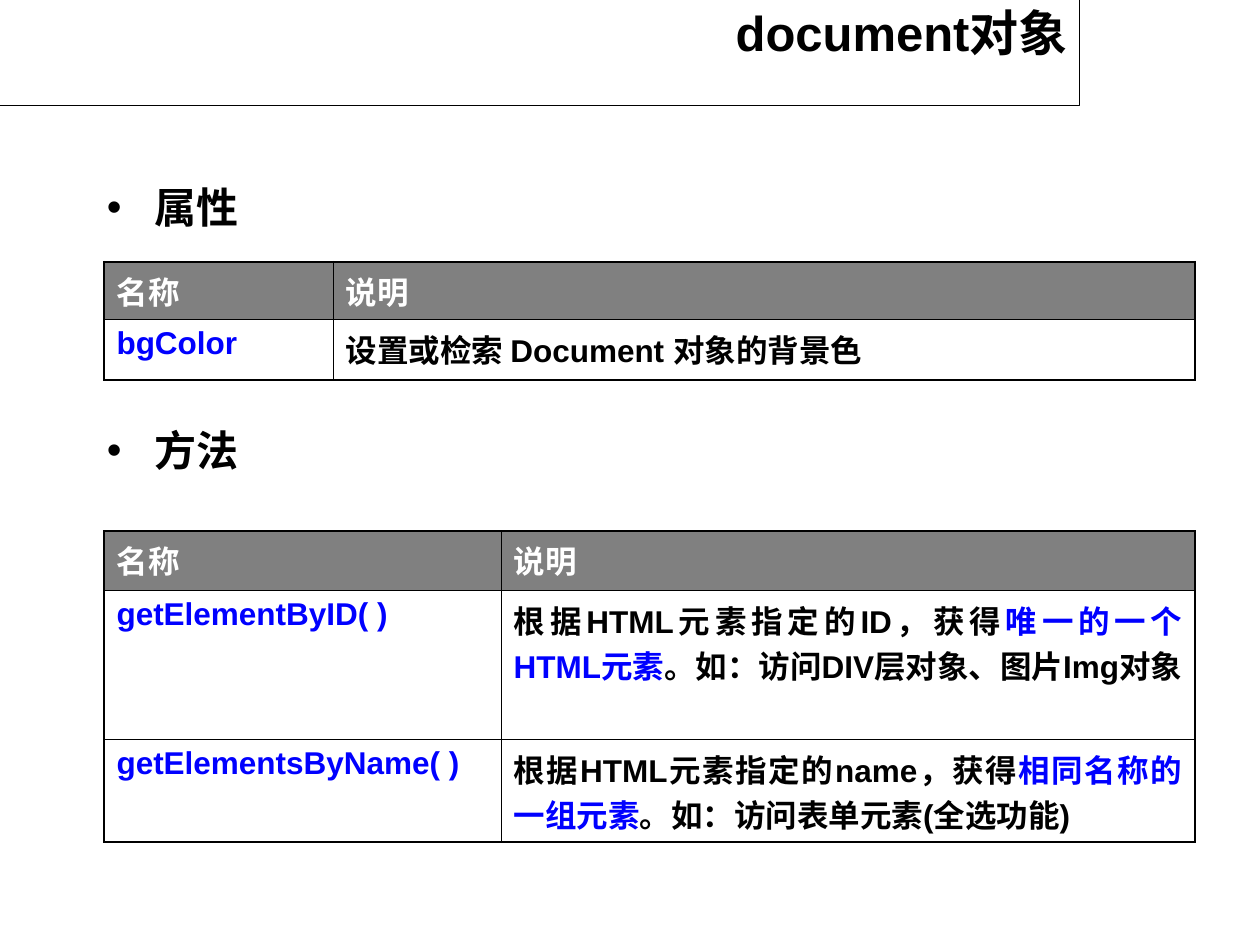
import pptx
import pptx.util
import pptx.dml.color
import pptx.enum.shapes
import pptx.enum.text
import pptx.oxml
import pptx.oxml.ns
from lxml import etree

WIDTH, HEIGHT = pptx.util.Inches(10), pptx.util.Inches(7.5)
COLORS = {"ink": "000000", "paper": "FFFFFF", "header": "808080", "key": "0000FF"}
LATIN, CJK = "Arial", "Noto Sans CJK SC"
OUTER, INNER = 1.08, 0.45
ALIGN = pptx.enum.text.PP_ALIGN

# Boxes: left, top, width, height as percent of the slide
TITLE_BOX = (-4.3, -0.4, 90, 11.6)
PROPERTY_BOX = (7.5, 18.55, 85, 8)
METHOD_BOX = (7.5, 44.3, 85, 8)
PROPERTY_TABLE_BOX = (8.25, 27.7, 86.6, 12.53)
METHOD_TABLE_BOX = (8.25, 56.2, 86.6, 32.93)

HEADER = ("名称", "说明")
PROPERTIES = [("bgColor", [("设置或检索 Document 对象的背景色", "ink")])]
METHODS = [
    ("getElementByID( )", [("根据HTML元素指定的ID，获得", "ink"),
                           ("唯一的一个HTML元素", "key"),
                           ("。如：访问DIV层对象、图片Img对象", "ink")]),
    ("getElementsByName( )", [("根据HTML元素指定的name，获得", "ink"),
                              ("相同名称的一组元素", "key"),
                              ("。如：访问表单元素(全选功能)", "ink")]),
]


def rgb(color):
    return pptx.dml.color.RGBColor.from_string(COLORS[color])


def place(box):
    left, top, width, height = (percent / 100 for percent in box)
    return (round(left * WIDTH), round(top * HEIGHT),
            round(width * WIDTH), round(height * HEIGHT))


def write(paragraph, parts, size, align, latin=LATIN):
    """Fill a paragraph with (text, colour) parts in one bold font."""
    paragraph.alignment = align
    font = paragraph.font
    font.size, font.bold, font.name = pptx.util.Pt(size), True, latin
    if len(parts) == 1:
        font.color.rgb = rgb(parts[0][1])
    east_asian = etree.SubElement(font._element, pptx.oxml.ns.qn("a:ea"))
    east_asian.set("typeface", CJK)
    for text, color in parts:
        run = paragraph.add_run()
        run.text = text
        if len(parts) > 1:
            run.font.color.rgb = rgb(color)


def add_title(slide, box, text):
    banner = slide.shapes.add_shape(pptx.enum.shapes.MSO_SHAPE.RECTANGLE, *place(box))
    banner.shadow.inherit = False
    banner.fill.solid()
    banner.fill.fore_color.rgb = rgb("paper")
    banner.line.color.rgb = rgb("ink")
    banner.line.width = pptx.util.Pt(0.75)
    banner.text_frame.word_wrap = True
    banner.text_frame.vertical_anchor = pptx.enum.text.MSO_ANCHOR.TOP
    write(banner.text_frame.paragraphs[0], [(text, "ink")], 28, ALIGN.RIGHT)


def add_heading(slide, box, text):
    frame = slide.shapes.add_textbox(*place(box)).text_frame
    frame.word_wrap = True
    paragraph = frame.paragraphs[0]
    properties = paragraph._p.get_or_add_pPr()
    indent = pptx.util.Inches(0.38)
    properties.set("marL", str(indent))
    properties.set("indent", str(-indent))
    for tag, key, value in (("a:buFont", "typeface", LATIN), ("a:buChar", "char", "•")):
        etree.SubElement(properties, pptx.oxml.ns.qn(tag)).set(key, value)
    write(paragraph, [(text, "ink")], 24, ALIGN.LEFT)


def set_borders(cell, widths):
    """Draw the left, right, top and bottom edges of a cell."""
    for side, width in zip("LRTB", widths):
        line = pptx.oxml.parse_xml(
            f'<a:ln{side} {pptx.oxml.ns.nsdecls("a")} w="{pptx.util.Pt(width)}">'
            f'<a:solidFill><a:srgbClr val="{COLORS["ink"]}"/></a:solidFill></a:ln{side}>')
        cell._tc.get_or_add_tcPr().append(line)


def add_reference_table(slide, box, entries, name_share, row_shares):
    """Place a name/description table; shares divide the box."""
    left, top, width, height = place(box)
    last_row = len(entries)
    table = slide.shapes.add_table(last_row + 1, 2, left, top, width, height).table
    table.first_row = table.horz_banding = False
    for column, share in zip(table.columns, (name_share, 1 - name_share)):
        column.width = round(width * share)
    for row, share in zip(table.rows, row_shares):
        row.height = round(height * share)

    # Header row, then one row per entry
    content = [[[(label, "paper")] for label in HEADER]]
    content += [[[(name, "key")], description] for name, description in entries]
    for r, row_parts in enumerate(content):
        for c, parts in enumerate(row_parts):
            cell = table.cell(r, c)
            edges = (c == 0, c == 1, r == 0, r == last_row)
            set_borders(cell, [OUTER if edge else INNER for edge in edges])
            cell.fill.solid()
            cell.fill.fore_color.rgb = rgb("paper" if r else "header")
            write(cell.text_frame.paragraphs[0], parts, 18,
                  ALIGN.JUSTIFY if r else ALIGN.LEFT, LATIN if r else CJK)


def main():
    deck = pptx.Presentation()
    deck.slide_width, deck.slide_height = WIDTH, HEIGHT
    slide = deck.slides.add_slide(deck.slide_layouts[6])

    add_title(slide, TITLE_BOX, "document对象")
    add_heading(slide, PROPERTY_BOX, "属性")
    add_heading(slide, METHOD_BOX, "方法")
    add_reference_table(slide, PROPERTY_TABLE_BOX, PROPERTIES, 0.21, (0.49, 0.51))
    add_reference_table(slide, METHOD_TABLE_BOX, METHODS, 0.364, (0.19, 0.48, 0.33))

    deck.save("out.pptx")


if __name__ == "__main__":
    main()
